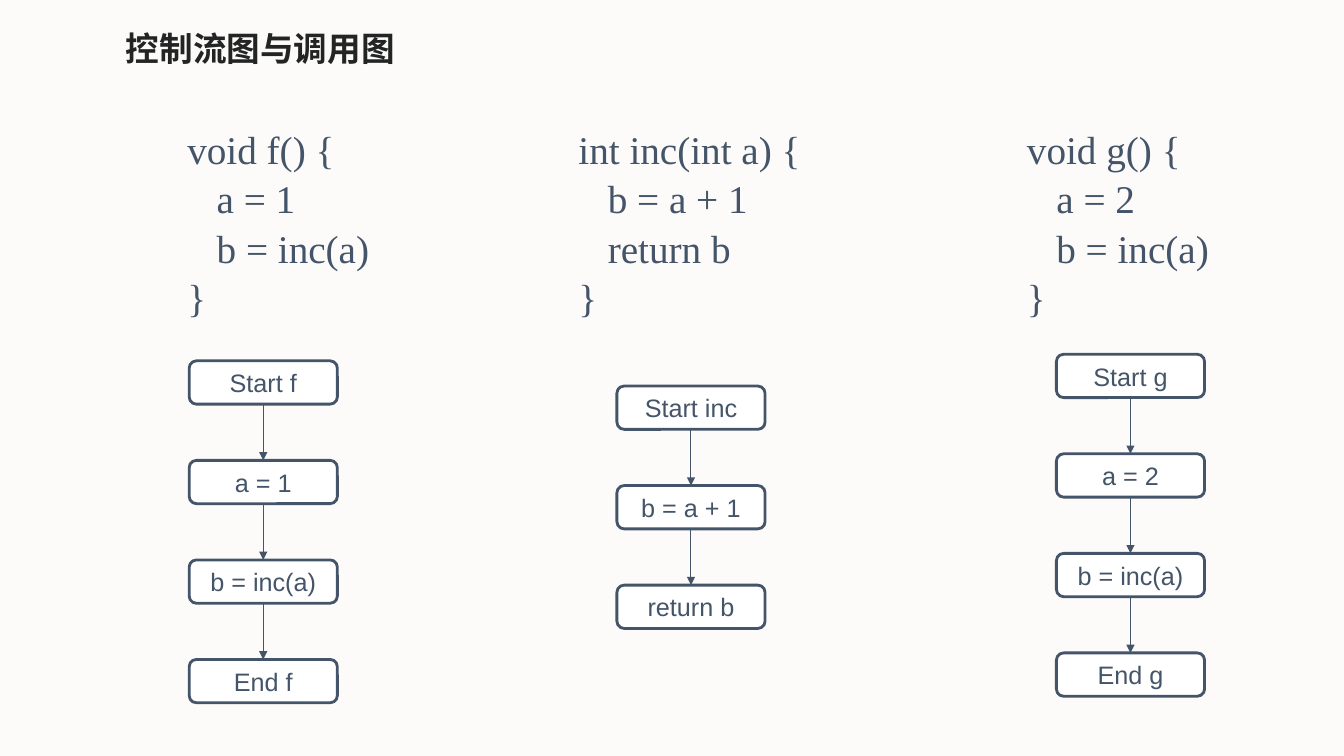
from lxml.etree import SubElement
from pptx import Presentation
from pptx.dml.color import RGBColor
from pptx.enum.shapes import MSO_CONNECTOR, MSO_SHAPE
from pptx.enum.text import MSO_ANCHOR, MSO_AUTO_SIZE, PP_ALIGN
from pptx.oxml.ns import qn
from pptx.util import Inches, Pt

INK = "445469"
TITLE_FONT = "Noto Sans CJK SC"


def color(value):
    return RGBColor.from_string(value)


def write_text(shape, text, font="Arial", size=18, ink=INK, bold=False, align=PP_ALIGN.LEFT,
               anchor=MSO_ANCHOR.TOP, wrap=True, fit=MSO_AUTO_SIZE.NONE, spacing=1.0):
    frame = shape.text_frame
    frame.text = text
    frame.word_wrap = wrap
    frame.auto_size = fit
    frame.vertical_anchor = anchor
    for paragraph in frame.paragraphs:
        paragraph.alignment = align
        paragraph.line_spacing = spacing
        for run in paragraph.runs:
            run.font.name = font
            run.font.size = Pt(size)
            run.font.bold = bold
            run.font.color.rgb = color(ink)
            SubElement(run.font._element, qn("a:ea"), typeface=TITLE_FONT)


presentation = Presentation()
presentation.slide_width = Inches(13.33)
presentation.slide_height = Inches(7.5)
slide = presentation.slides.add_slide(presentation.slide_layouts[6])
slide.background.fill.solid()
slide.background.fill.fore_color.rgb = color("FCFBF9")

column = presentation.slide_width / 40
row = presentation.slide_height / 30

title = slide.shapes.add_textbox(int(3.45 * column), int(1.12 * row),
                                 int(15.8 * column), int(2 * row))
write_text(title, "控制流图与调用图", font=TITLE_FONT, size=24, ink="232525", bold=True,
           fit=MSO_AUTO_SIZE.SHAPE_TO_FIT_TEXT, spacing=0.88)

code_top, code_height = 4.68, 7.96
node_width, node_height, node_step = 4.41, 1.72, 3.95

functions = [
    (5.28, 6.09, "void f() {\n   a = 1\n   b = inc(a)\n}",
     5.63, 14.32, ["Start f", "a = 1", "b = inc(a)", "End f"]),
    (16.92, 7.29, "int inc(int a) {\n   b = a + 1\n   return b\n}",
     18.36, 15.32, ["Start inc", "b = a + 1", "return b"]),
    (30.27, 6.09, "void g() {\n   a = 2\n   b = inc(a)\n}",
     31.44, 14.06, ["Start g", "a = 2", "b = inc(a)", "End g"]),
]

for code_left, code_width, code, node_left, node_top, steps in functions:
    listing = slide.shapes.add_textbox(int(code_left * column), int(code_top * row),
                                       int(code_width * column), int(code_height * row))
    write_text(listing, code, font="Times New Roman", size=28, wrap=False,
               fit=MSO_AUTO_SIZE.SHAPE_TO_FIT_TEXT, spacing=1.05)

    nodes = []
    for index, step in enumerate(steps):
        node = slide.shapes.add_shape(
            MSO_SHAPE.ROUNDED_RECTANGLE,
            int(node_left * column), int((node_top + index * node_step) * row),
            int(node_width * column), int(node_height * row))
        node.shadow.inherit = False
        node.fill.solid()
        node.fill.fore_color.rgb = color("FFFFFF")
        node.line.color.rgb = color(INK)
        node.line.width = Pt(2)
        write_text(node, step, align=PP_ALIGN.CENTER, anchor=MSO_ANCHOR.MIDDLE)
        nodes.append(node)

    for source, target in zip(nodes, nodes[1:]):
        arrow = slide.shapes.add_connector(MSO_CONNECTOR.STRAIGHT, 0, 0, 0, 0)
        arrow.begin_connect(source, 2)
        arrow.end_connect(target, 0)
        arrow.line.color.rgb = color(INK)
        arrow.line.width = Pt(0.75)
        SubElement(arrow.line._get_or_add_ln(), qn("a:tailEnd"), type="triangle")
        SubElement(arrow._element.spPr, qn("a:effectLst"))

presentation.save("out.pptx")
